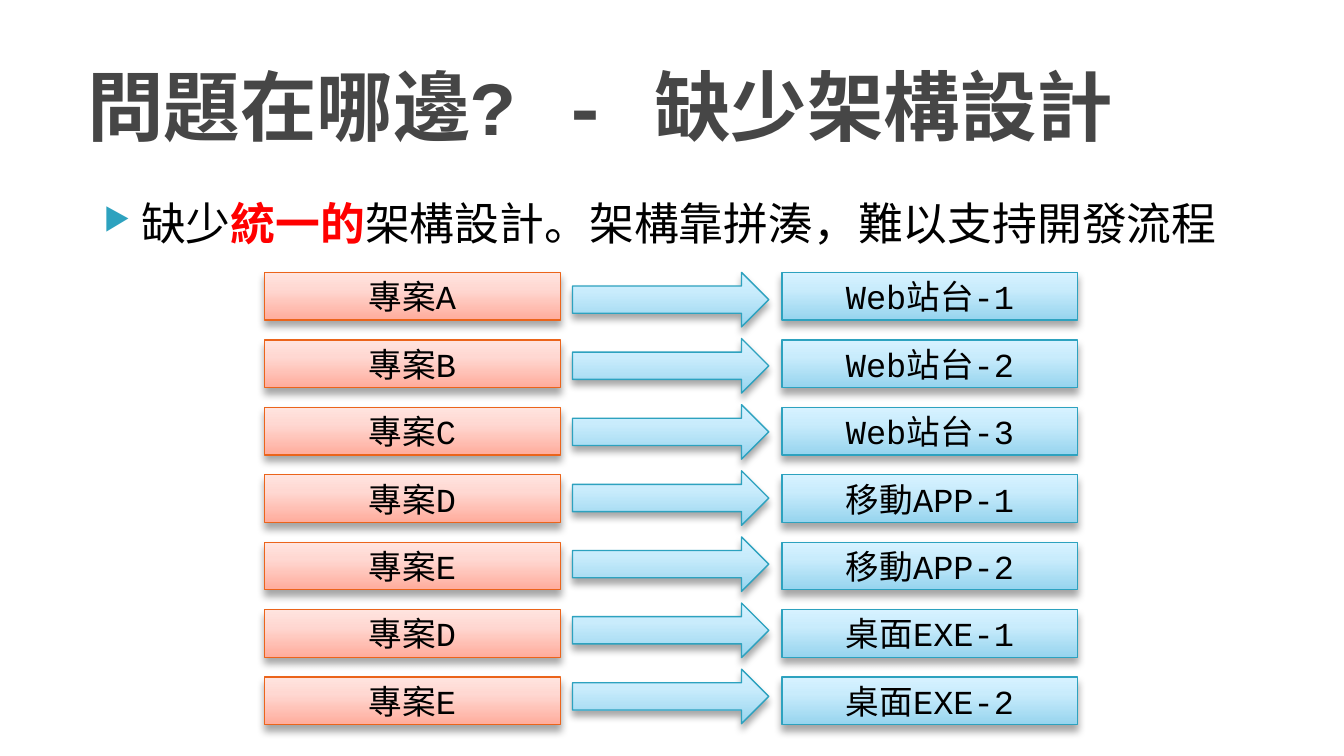
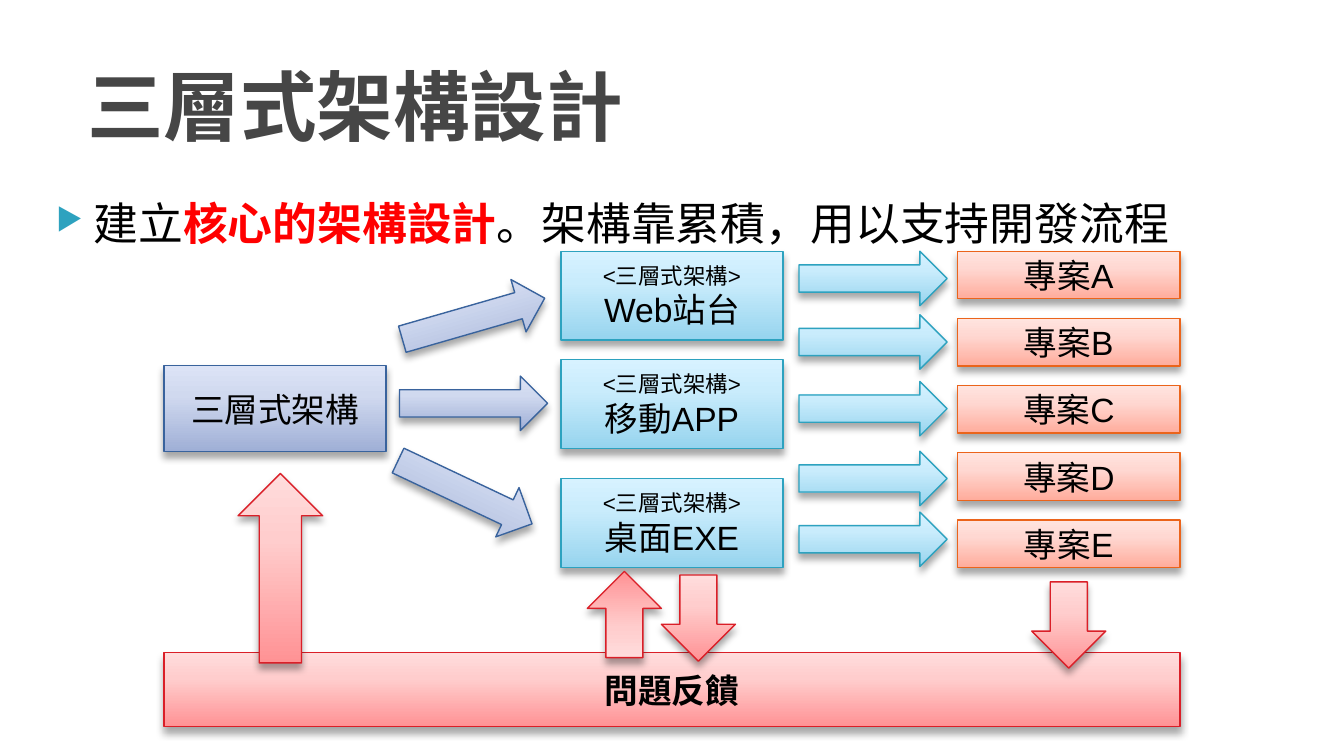
import pptx
import pptx.dml.color
import pptx.enum.shapes
import pptx.enum.text
import pptx.oxml
import pptx.oxml.ns
import pptx.util

Cm = pptx.util.Cm
Pt = pptx.util.Pt
KIND = pptx.enum.shapes.MSO_SHAPE
ALIGN = pptx.enum.text.PP_ALIGN
MIDDLE = pptx.enum.text.MSO_ANCHOR.MIDDLE
SPACE = pptx.oxml.ns.nsdecls("a")

MONO, SANS = "Courier New", "Arial"
BLACK, RED, GREY, TEAL = "000000", "FF0000", "464646", "2DA2BF"
ORANGE = ("FFAC9C", "FFD8D2", "FFE4DF", "EB641B")
BLUE = ("96D4EE", "C9ECFC", "D7F2FF", TEAL)
PURPLE = ("9FAFD6", "D0D9EF", "DCE3F6", "39639D")
ROSE = ("FF9294", "FFCDCD", "FFDCDC", "DA1F28")


def tint(color, code):
    color.rgb = pptx.dml.color.RGBColor.from_string(code)


def style(run, size, face, code=BLACK, bold=False):
    run.font.size = Pt(size)
    run.font.name = face
    run.font.bold = bold
    tint(run.font.color, code)


def shade(shape, theme):
    stops = "".join(
        f'<a:gs pos="{pos}"><a:srgbClr val="{code}"/></a:gs>'
        for pos, code in zip((0, 65000, 100000), theme)
    )
    fill = pptx.oxml.parse_xml(
        f'<a:gradFill {SPACE} rotWithShape="1"><a:gsLst>{stops}</a:gsLst>'
        '<a:lin ang="16200000" scaled="0"/></a:gradFill>'
    )
    shape.element.spPr.find(pptx.oxml.ns.qn("a:prstGeom")).addnext(fill)
    tint(shape.line.color, theme[-1])
    shape.line.width = Pt(0.75)
    shape.shadow.inherit = False
    drop = pptx.oxml.parse_xml(
        f'<a:outerShdw {SPACE} blurRad="{Pt(4)}" dist="{Pt(3)}" dir="5400000" '
        'rotWithShape="0"><a:srgbClr val="000000"><a:alpha val="35000"/>'
        '</a:srgbClr></a:outerShdw>'
    )
    shape.element.spPr.find(pptx.oxml.ns.qn("a:effectLst")).append(drop)


def draw(slide, kind, x, y, w, h, theme, turn=0):
    shape = slide.shapes.add_shape(kind, Cm(x), Cm(y), Cm(w), Cm(h))
    shade(shape, theme)
    shape.rotation = turn
    return shape


def box(slide, x, y, w, h, theme, lines, face=SANS, bold=False):
    frame = draw(slide, KIND.RECTANGLE, x, y, w, h, theme).text_frame
    frame.vertical_anchor = MIDDLE
    frame.text = "\n".join(text for text, size in lines)
    for para, (text, size) in zip(frame.paragraphs, lines):
        para.alignment = ALIGN.CENTER
        style(para.runs[0], size, face, bold=bold)


def field(slide, x, y, w, h):
    frame = slide.shapes.add_textbox(Cm(x), Cm(y), Cm(w), Cm(h)).text_frame
    frame.word_wrap = True
    return frame


def title(slide, text):
    frame = field(slide, 1.4, 0.79, 21.64, 2.39)
    frame.vertical_anchor = MIDDLE
    frame.text = text
    style(frame.paragraphs[0].runs[0], 41, MONO, GREY, True)


def bullet(slide, x, w, h, start, key, end):
    para = field(slide, x, 3.58, w, h).paragraphs[0]
    props = para._p.get_or_add_pPr()
    props.set("marL", str(Cm(1.02)))
    props.set("indent", str(Cm(-0.71)))
    for mark in (
        f'<a:buClr {SPACE}><a:srgbClr val="{TEAL}"/></a:buClr>',
        f'<a:buSzPct {SPACE} val="68000"/>',
        f'<a:buChar {SPACE} char="▶"/>',
    ):
        props.append(pptx.oxml.parse_xml(mark))
    for text, code in ((start, BLACK), (key, RED), (end, BLACK)):
        run = para.add_run()
        run.text = text
        style(run, 24, MONO, code, code == RED)


def problem(slide):
    bullet(slide, 1.4, 22.86, 7.82, "缺少", "統一的",
           "架構設計。架構靠拼湊，難以支持開發流程")
    title(slide, "問題在哪邊? - 缺少架構設計")
    goals = ("Web站台-1", "Web站台-2", "Web站台-3", "移動APP-1",
             "移動APP-2", "桌面EXE-1", "桌面EXE-2")
    top, step = 5.15, 7.65 / 6
    for i, (name, goal) in enumerate(zip("ABCDEDE", goals)):
        y = top + i * step
        box(slide, 5, y, 5.59, 0.9, ORANGE, [("專案" + name, 18)], MONO)
        draw(slide, KIND.RIGHT_ARROW, 10.82, top + i * 1.25, 3.71, 1.03, BLUE)
        box(slide, 14.78, y, 5.59, 0.9, BLUE, [(goal, 18)], MONO)


def layers(slide):
    bullet(slide, 0.5, 24.4, 1.37, "建立", "核心的架構設計",
           "。架構靠累積，用以支持開發流程")
    title(slide, "三層式架構設計")
    wide, top = 4.2, 4.75
    box(slide, 3.1, 6.91, wide, 1.63, PURPLE, [("三層式架構", 18)])
    for name, y in (("Web站台", top), ("移動APP", 6.8), ("桌面EXE", 9.05)):
        box(slide, 10.6, y, wide, 1.68, BLUE,
            [("<三層式架構>", 12), (name, 18)])
    for i, name in enumerate("ABCDE"):
        box(slide, 18.1, top + i * 1.27, wide, 0.9, ORANGE,
            [("專案" + name, 18)])
    for x, y, turn in ((7.55, 5.51, -16.1), (7.55, 7.11, 0),
                       (7.39, 8.79, 25.3)):
        draw(slide, KIND.RIGHT_ARROW, x, y, 2.8, 1.03, PURPLE, turn)
    for y in (top, 5.95, 7.21, 8.53, 9.68):
        draw(slide, KIND.RIGHT_ARROW, 15.1, y, 2.8, 1.03, BLUE)
    box(slide, 3.1, 12.34, 19.2, 1.4, ROSE, [("問題反饋", 18)], bold=True)
    for x, y, turn in ((19.5, 11, 0), (12.5, 10.87, 0), (11.1, 10.8, 180)):
        draw(slide, KIND.DOWN_ARROW, x, y, 1.4, 1.63, ROSE, turn)
    draw(slide, KIND.UP_ARROW, 4.5, 8.95, 1.6, 3.58, ROSE)


def main():
    deck = pptx.Presentation()
    deck.slide_width = Cm(25.4)
    deck.slide_height = Cm(14.29)
    for build in (problem, layers):
        build(deck.slides.add_slide(deck.slide_layouts[6]))
    deck.save("out.pptx")


if __name__ == "__main__":
    main()
